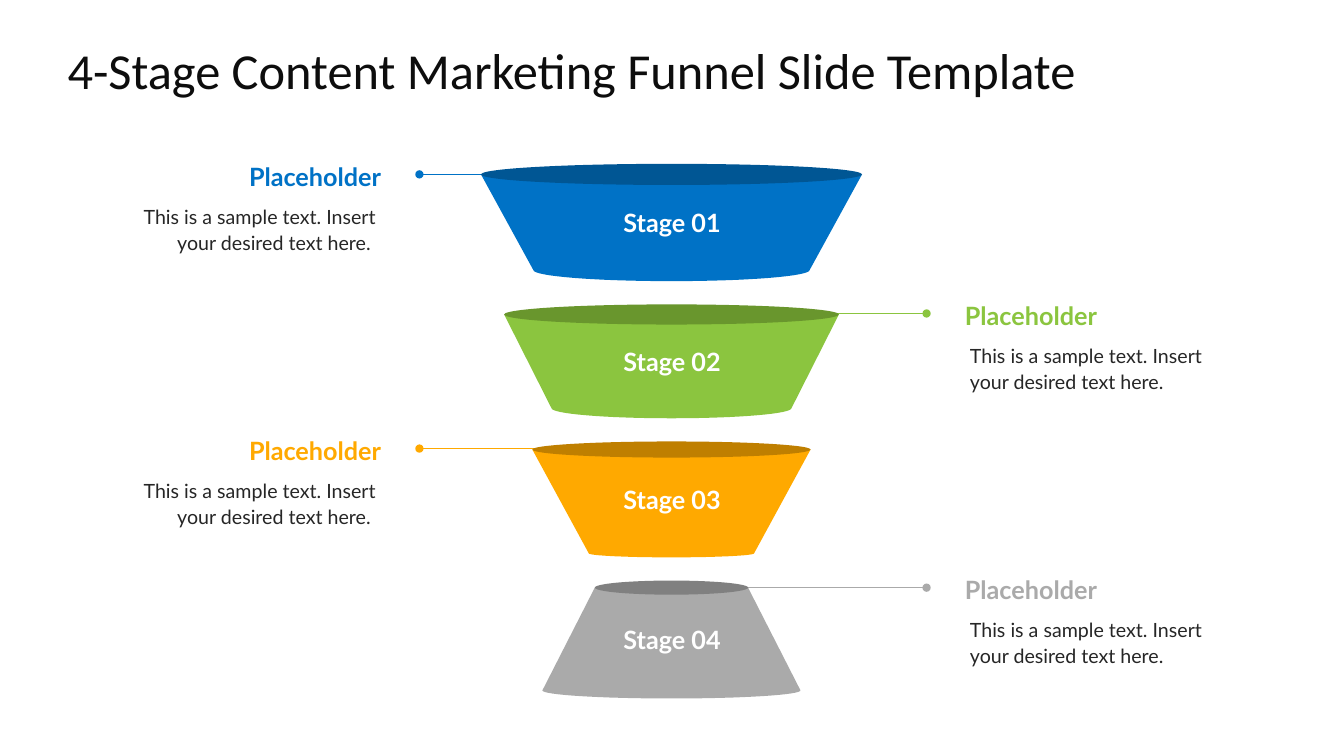
import math
from lxml import etree
from pptx import Presentation
from pptx.dml.color import RGBColor
from pptx.enum.shapes import MSO_CONNECTOR, MSO_SHAPE
from pptx.enum.text import MSO_ANCHOR, PP_ALIGN
from pptx.oxml.ns import qn
from pptx.util import Inches, Pt

STRAIGHT, OVAL = MSO_CONNECTOR.STRAIGHT, MSO_SHAPE.OVAL
LEFT, CENTER, RIGHT = PP_ALIGN.LEFT, PP_ALIGN.CENTER, PP_ALIGN.RIGHT
TOP, MIDDLE = MSO_ANCHOR.TOP, MSO_ANCHOR.MIDDLE

BLUE, DARK_BLUE = RGBColor(0x00, 0x72, 0xC6), RGBColor(0x00, 0x56, 0x94)
GREEN, DARK_GREEN = RGBColor(0x8B, 0xC5, 0x3F), RGBColor(0x69, 0x96, 0x2D)
ORANGE, DARK_ORANGE = RGBColor(0xFF, 0xA9, 0x00), RGBColor(0xBF, 0x7F, 0x00)
GRAY, DARK_GRAY = RGBColor(0xAA, 0xAA, 0xAA), RGBColor(0x80, 0x80, 0x80)
WHITE = RGBColor(0xFF, 0xFF, 0xFF)
TITLE_INK = RGBColor(0x0D, 0x0D, 0x0D)
BODY_INK = RGBColor(0x26, 0x26, 0x26)

AXIS = 6.66  # horizontal centre of the funnel
ARC_STEPS = 32

prs = Presentation()
prs.slide_width, prs.slide_height = Inches(13.33), Inches(7.5)
slide = prs.slides.add_slide(prs.slide_layouts[6])
shapes = slide.shapes


def add_text(text, x, y, w, h, size, color, align=LEFT, bold=False,
             font="Lato", anchor=TOP, spacing=1.0):
    box = shapes.add_textbox(Inches(x), Inches(y), Inches(w), Inches(h))
    frame = box.text_frame
    frame.word_wrap = True
    frame.vertical_anchor = anchor
    frame.margin_left = frame.margin_right = 0
    frame.margin_top = frame.margin_bottom = 0
    frame.text = text
    paragraph = frame.paragraphs[0]
    paragraph.alignment = align
    paragraph.line_spacing = spacing
    run_font = paragraph.runs[0].font
    run_font.name, run_font.size, run_font.bold = font, Pt(size), bold
    run_font.color.rgb = color


def paint(shape, color):
    shape.shadow.inherit = False
    shape.fill.solid()
    shape.fill.fore_color.rgb = color
    shape.line.fill.background()


# Title
add_text("4-Stage Content Marketing Funnel Slide Template", 0.67, 0.3, 12, 0.78,
         36, TITLE_INK, font="Calibri", anchor=MIDDLE)

# Callouts: colour, leader height, inner end of the leader, on the left side
callouts = [
    (BLUE, 1.73, 5.84, True),
    (GREEN, 3.11, 7.51, False),
    (ORANGE, 4.45, 5.84, True),
    (GRAY, 5.83, 6.97, False),
]
for color, y, inner_x, on_left in callouts:
    outer_x = 4.16 if on_left else 9.19
    leader = shapes.add_connector(STRAIGHT, Inches(outer_x), Inches(y),
                                  Inches(inner_x), Inches(y))
    leader.line.color.rgb = color
    leader.line.width = Pt(0.75)
    line_xml = leader.line._get_or_add_ln()
    for end in ("a:headEnd", "a:tailEnd"):
        etree.SubElement(line_xml, qn(end), type="oval")
    etree.SubElement(leader._element.spPr, qn("a:effectLst"))

    align = RIGHT if on_left else LEFT
    sample = "This is a sample text. Insert your desired text here."
    if on_left:
        sample += " "
    add_text("Placeholder", 1.33 if on_left else 9.57, y - 0.16, 2.45, 0.3,
             18, color, align, bold=True, spacing=1.1)
    add_text(sample, 1.33 if on_left else 9.62, y + 0.28, 2.4, 0.5,
             14, BODY_INK, align, spacing=1.1)

# Funnel stages: body and rim colours, rim (height on slide, half width,
# thickness), base (height on slide, half width, sag), label top
stages = [
    (BLUE, DARK_BLUE, (1.73, 1.89, 0.21), (2.68, 1.37, 0.11), 1.99),
    (GREEN, DARK_GREEN, (3.12, 1.66, 0.2), (4.05, 1.19, 0.1), 3.37),
    (ORANGE, DARK_ORANGE, (4.46, 1.38, 0.16), (5.49, 0.82, 0.04), 4.74),
    (GRAY, DARK_GRAY, (5.83, 0.76, 0.14), (6.85, 1.28, 0.08), 6.13),
]
for number, (color, rim_color, rim, base, label_y) in enumerate(stages, 1):
    rim_y, rim_half, rim_thick = rim
    base_y, base_half, sag = base

    angles = [math.pi * step / ARC_STEPS for step in range(ARC_STEPS + 1)]
    base_arc = [(Inches(AXIS + base_half * math.cos(a)),
                 Inches(base_y + sag * math.sin(a))) for a in angles]
    outline = shapes.build_freeform(Inches(AXIS - rim_half), Inches(rim_y))
    outline.add_line_segments(
        [(Inches(AXIS + rim_half), Inches(rim_y))] + base_arc, close=True)
    paint(outline.convert_to_shape(), color)

    mouth = shapes.add_shape(OVAL, Inches(AXIS - rim_half),
                             Inches(rim_y - rim_thick / 2),
                             Inches(2 * rim_half), Inches(rim_thick))
    paint(mouth, rim_color)

    add_text(f"Stage {number:02d}", 5.77, label_y, 1.79, 0.43,
             18, WHITE, CENTER, bold=True, anchor=MIDDLE)

prs.save("out.pptx")
